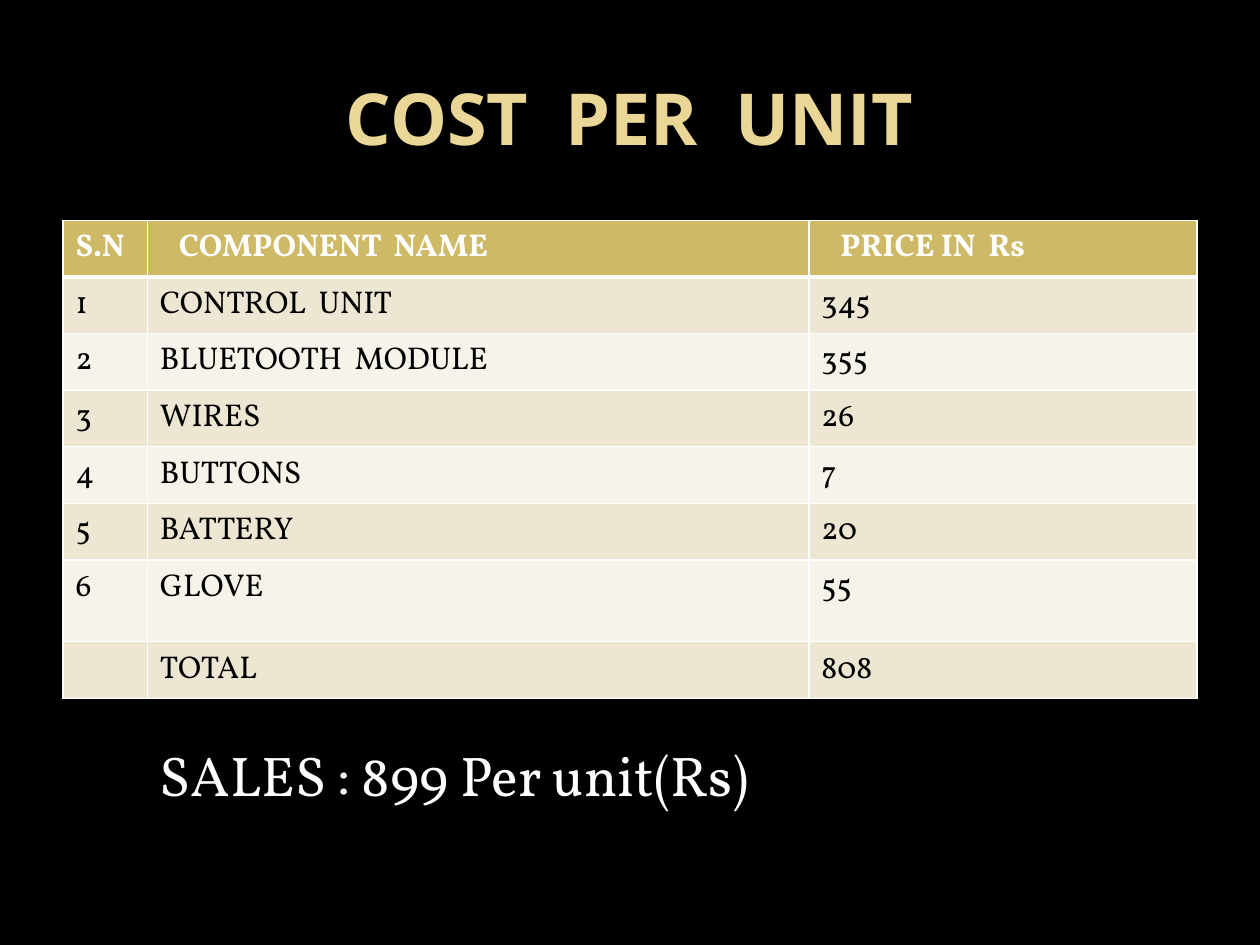
"""Build the cost-per-unit slide: a title, a price table and a sales line."""
from dataclasses import dataclass

from lxml.etree import SubElement
from pptx import Presentation
from pptx.dml.color import RGBColor
from pptx.enum.text import MSO_ANCHOR, PP_ALIGN
from pptx.oxml.ns import qn
from pptx.util import Emu, Inches, Pt

WIDE, HIGH = Inches(10), Inches(7.5)
BLACK = RGBColor(0x00, 0x00, 0x00)
WHITE = RGBColor(0xFF, 0xFF, 0xFF)
CREAM = RGBColor(0xEA, 0xD6, 0x96)
GOLD = RGBColor(0xCE, 0xB9, 0x66)
BANDS = (RGBColor(0xF6, 0xF3, 0xEA), RGBColor(0xED, 0xE6, 0xD3))
HEAD, BODY = "Open Sans", "Vollkorn"
COLS = (0.67, 5.25, 3.08)
LOW, TALL = 0.41, 0.65


@dataclass(frozen=True)
class Item:
    mark: str
    name: str
    price: str
    high: float = LOW


ITEMS = (
    Item("S.N", "COMPONENT  NAME", "PRICE IN  Rs"),
    Item("1", "CONTROL  UNIT", "345"),
    Item("2", "BLUETOOTH  MODULE", "355"),
    Item("3", "WIRES", "26"),
    Item("4", "BUTTONS", "7"),
    Item("5", "BATTERY", "20"),
    Item("6", "GLOVE", "55", TALL),
    Item("", "TOTAL", "808"),
)


def box(left: float, top: float, wide: float, high: float) -> tuple:
    """Turn shares of the slide into lengths."""
    pairs = ((left, WIDE), (top, HIGH), (wide, WIDE), (high, HIGH))
    return tuple(Emu(round(share * size)) for share, size in pairs)


def write(frame, text: str, *, size=18, font=BODY, color=BLACK, bold=False, align=PP_ALIGN.LEFT) -> None:
    """Put one formatted line into a text frame."""
    frame.word_wrap = True
    line = frame.paragraphs[0]
    line.alignment = align
    run = line.add_run()
    run.text = text
    run.font.size, run.font.name, run.font.bold = Pt(size), font, bold
    run.font.color.rgb = color


def edge(cell, side: str, width: float) -> None:
    """Draw one white border of a cell."""
    line = SubElement(cell._tc.get_or_add_tcPr(), qn(f"a:ln{side}"), w=str(Pt(width)))
    fill = SubElement(line, qn("a:solidFill"))
    SubElement(fill, qn("a:srgbClr"), val=str(WHITE))


def fill_cell(cell, text: str, row: int, col: int) -> None:
    """Format one cell by its place in the table."""
    top = row == 0
    for side in "LRTB":
        thick = (row, side) in ((0, "B"), (1, "T"))
        edge(cell, side, 3 if thick else 1)
    cell.fill.solid()
    cell.fill.fore_color.rgb = GOLD if top else BANDS[row % 2]
    if top and col:
        cell.margin_left = Inches(0.25)
    if text:
        write(cell.text_frame, text, color=WHITE if top else BLACK, bold=top)


def add_costs(slide) -> None:
    """Add the price table."""
    place = box(0.05, 1.75 / 7.5, 0.9, 3.49 / 7.5)
    table = slide.shapes.add_table(len(ITEMS), len(COLS), *place).table
    for col, wide in zip(table.columns, COLS):
        col.width = Inches(wide)
    for row, item in enumerate(ITEMS):
        table.rows[row].height = Inches(item.high)
        for col, text in enumerate((item.mark, item.name, item.price)):
            fill_cell(table.cell(row, col), text, row, col)


def main() -> None:
    """Build and save the slide."""
    deck = Presentation()
    deck.slide_width, deck.slide_height = WIDE, HIGH
    slide = deck.slides.add_slide(deck.slide_layouts[5])
    slide.background.fill.solid()
    slide.background.fill.fore_color.rgb = BLACK

    title = slide.shapes.title
    title.left, title.top, title.width, title.height = box(0.05, 0.04, 0.9, 1 / 6)
    title.text_frame.vertical_anchor = MSO_ANCHOR.MIDDLE
    write(title.text_frame, "COST  PER  UNIT", size=41, font=HEAD, color=CREAM, bold=True, align=PP_ALIGN.CENTER)

    add_costs(slide)
    sales = slide.shapes.add_textbox(*box(0.117, 5.83 / 7.5, 0.65, 0.64 / 7.5))
    write(sales.text_frame, "SALES : 899 Per unit(Rs)", size=32, color=WHITE)
    deck.save("out.pptx")


if __name__ == "__main__":
    main()
